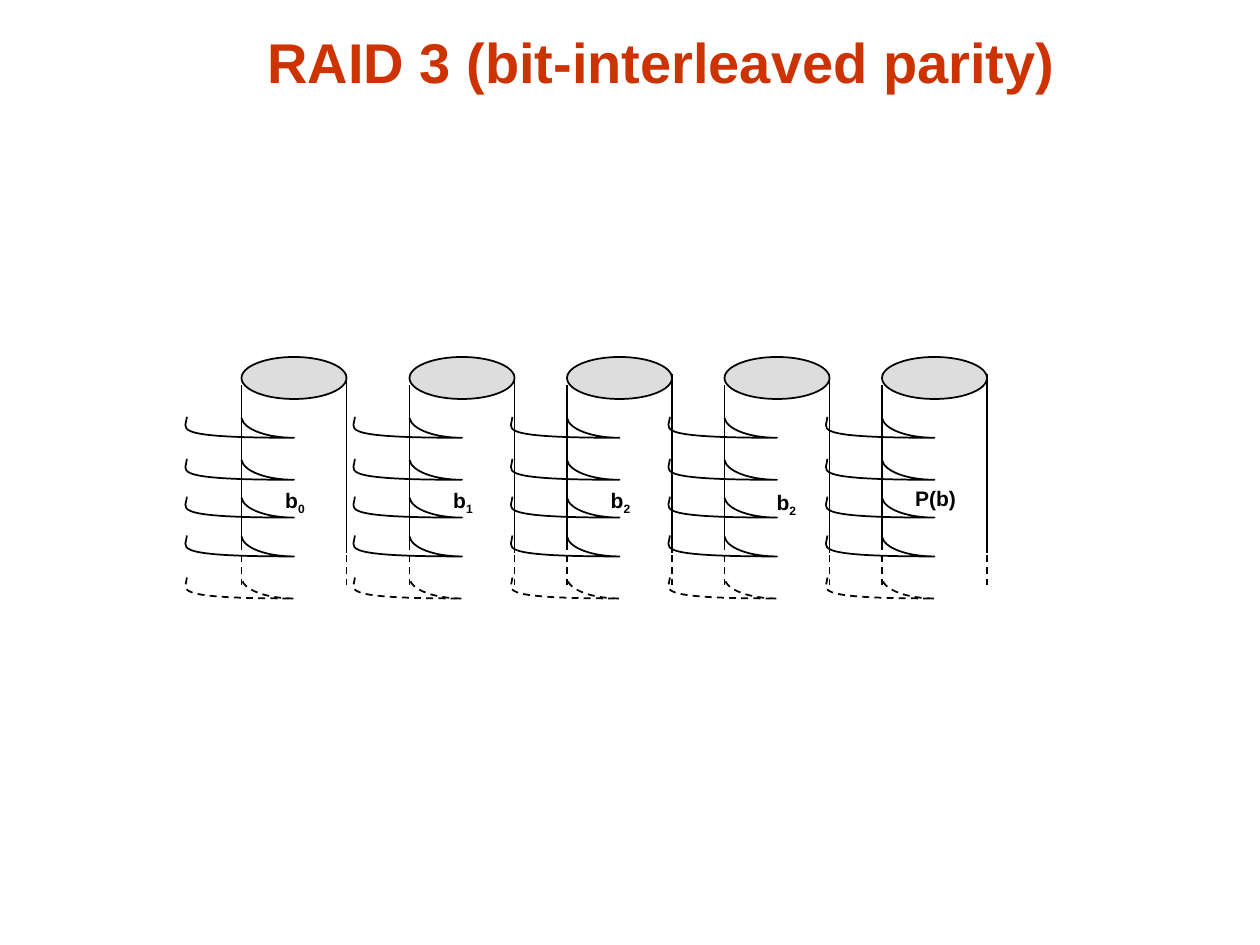
import dataclasses

import pptx
import pptx.dml.color
import pptx.enum.dml
import pptx.enum.shapes
import pptx.enum.text
import pptx.oxml.ns
import pptx.oxml.xmlchemy
import pptx.util

COLUMNS, ROWS = 120, 90  # grid cells of 1/12 inch

# Disk geometry in grid cells
DISK_WIDTH, TOP_ROW, LID_HEIGHT = 10, 34, 4
DISKS = {23: ("b", "0"), 39: ("b", "1"), 54: ("b", "2"), 69: ("b", "2"), 84: ("P(b)", "")}
SOLID_BANDS, DASHED_BAND = (39.7, 43.7, 47.3, 51), 55
LEFT_WALL, RIGHT_WALL, WALL_TAIL = (36.7, 51.7), (35.6, 52.7), (51.7, 55.7)
BAND_START = (-5.2, 0)
BAND_CURVES = (
    ((-5.2, 1.1), (-7.4, 2), (5, 2)),
    ((2.4, 2), (0.2, 1.2), (0, 0.1)),
)


@dataclasses.dataclass
class Theme:
    font: str = "Arial"
    title_color: str = "CC3300"
    ink: str = "000000"
    lid: str = "DDDDDD"
    title_size: int = 32
    label_size: int = 12
    line_width: int = 1


def color(value):
    return pptx.dml.color.RGBColor.from_string(value)


def write(para, text, *, font, size, fill, bold=True, subscript=False):
    """Add one formatted span to a paragraph."""
    para.alignment = pptx.enum.text.PP_ALIGN.CENTER
    span = para.add_run()
    span.text = text
    span.font.name = font
    span.font.size = pptx.util.Pt(size)
    span.font.bold = bold
    span.font.color.rgb = color(fill)
    if subscript:
        span.font._element.set("baseline", "-25000")


class Painter:
    def __init__(self, deck, page, theme):
        self.page, self.theme = page, theme
        self.cell_width = deck.slide_width / COLUMNS
        self.cell_height = deck.slide_height / ROWS

    def x(self, columns):
        return round(columns * self.cell_width)

    def y(self, rows):
        return round(rows * self.cell_height)

    def stroke(self, item, dashed=False):
        item.line.color.rgb = color(self.theme.ink)
        item.line.width = pptx.util.Pt(self.theme.line_width)
        if dashed:
            item.line.dash_style = pptx.enum.dml.MSO_LINE.DASH

    def title(self, text, left, top, width, height):
        box = self.page.shapes.title
        box.left, box.top = self.x(left), self.y(top)
        box.width, box.height = self.x(width), self.y(height)
        frame = box.text_frame
        frame.auto_size = pptx.enum.text.MSO_AUTO_SIZE.NONE
        frame.vertical_anchor = pptx.enum.text.MSO_ANCHOR.BOTTOM
        write(frame.paragraphs[0], text, font=self.theme.font,
              size=self.theme.title_size, fill=self.theme.title_color)

    def lid(self, group, left):
        oval = group.shapes.add_shape(
            pptx.enum.shapes.MSO_SHAPE.OVAL, self.x(left), self.y(TOP_ROW),
            self.x(DISK_WIDTH), self.y(LID_HEIGHT))
        oval.shadow.inherit = False
        oval.fill.solid()
        oval.fill.fore_color.rgb = color(self.theme.lid)
        self.stroke(oval)

    def wall(self, group, column, rows, dashed=False):
        top, bottom = rows
        line = group.shapes.add_connector(
            pptx.enum.shapes.MSO_CONNECTOR.STRAIGHT,
            self.x(column), self.y(top), self.x(column), self.y(bottom))
        self.stroke(line, dashed)
        line._element.spPr.append(pptx.oxml.xmlchemy.OxmlElement("a:effectLst"))

    def band(self, group, left, top, dashed=False):
        """Draw a curved band edge; its curves may run beyond its frame."""
        width, height = self.x(DISK_WIDTH), self.y(2)
        builder = group.shapes.build_freeform(self.x(left), self.y(top))
        builder.add_line_segments(
            [(self.x(left) + width, self.y(top) + height)], close=False)
        band = builder.convert_to_shape()
        band.shadow.inherit = False
        band.fill.background()
        self.stroke(band, dashed)

        # Replace the straight segment with Bézier curves
        outline = band._element.find(".//" + pptx.oxml.ns.qn("a:path"))
        for step in list(outline):
            outline.remove(step)
        self.add_step(outline, "a:moveTo", [BAND_START])
        for curve in BAND_CURVES:
            self.add_step(outline, "a:cubicBezTo", curve)

    def add_step(self, outline, tag, points):
        step = pptx.oxml.xmlchemy.OxmlElement(tag)
        for column, row in points:
            point = pptx.oxml.xmlchemy.OxmlElement("a:pt")
            point.set("x", str(self.x(column)))
            point.set("y", str(self.y(row)))
            step.append(point)
        outline.append(step)

    def disk(self, left):
        group = self.page.shapes.add_group_shape()
        right = left + DISK_WIDTH
        self.lid(group, left)
        self.wall(group, left, LEFT_WALL)
        self.wall(group, right, RIGHT_WALL)
        for top in SOLID_BANDS:
            self.band(group, left, top)
        self.band(group, left, DASHED_BAND, dashed=True)
        for column in (left, right):
            self.wall(group, column, WALL_TAIL, dashed=True)

    def label(self, text, subscript, left, top, width, height):
        box = self.page.shapes.add_textbox(
            self.x(left), self.y(top), self.x(width), self.y(height))
        frame = box.text_frame
        frame.word_wrap = False
        frame.auto_size = pptx.enum.text.MSO_AUTO_SIZE.SHAPE_TO_FIT_TEXT
        style = dict(font=self.theme.font, size=self.theme.label_size, fill=self.theme.ink)
        para = frame.paragraphs[0]
        write(para, text, **style)
        if subscript:
            write(para, subscript, subscript=True, **style)


def main():
    deck = pptx.Presentation()
    deck.slide_width, deck.slide_height = pptx.util.Inches(10), pptx.util.Inches(7.5)
    page = deck.slides.add_slide(deck.slide_layouts.get_by_name("Title Only"))
    painter = Painter(deck, page, Theme())

    painter.title("RAID 3 (bit-interleaved parity)", left=10, top=1.6, width=106, height=8)

    # Disks first, so that every label stays in front
    for left in DISKS:
        painter.disk(left)

    # Bit labels; the fourth sits slightly aside, the parity label is wider
    for left, (text, subscript) in DISKS.items():
        if subscript:
            nudge_x, nudge_y = (0.8, 0.15) if left == 69 else (0, 0)
            painter.label(text, subscript, left + 2.95 + nudge_x, 45.85 + nudge_y, 4.3, 4)
        else:
            painter.label(text, subscript, left + 1.9, 45.7, 6.4, 3.6)

    deck.save("out.pptx")


if __name__ == "__main__":
    main()
